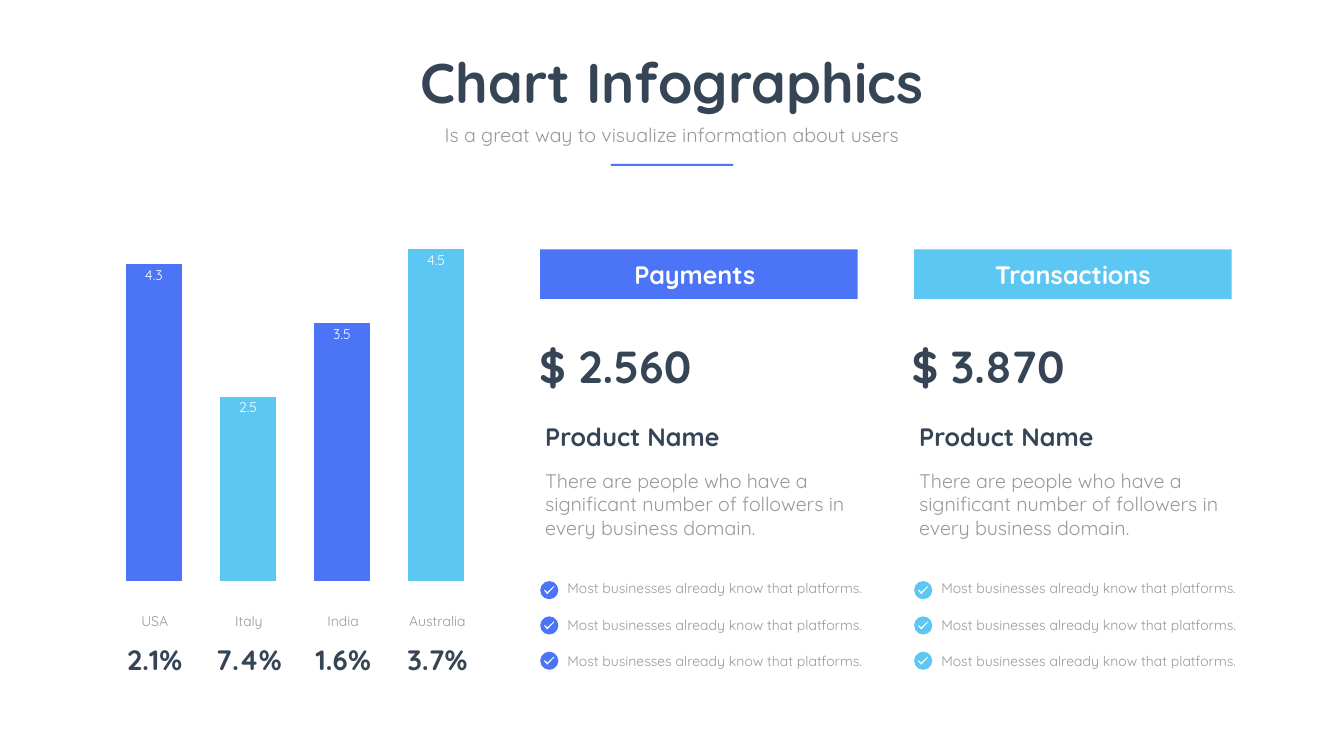
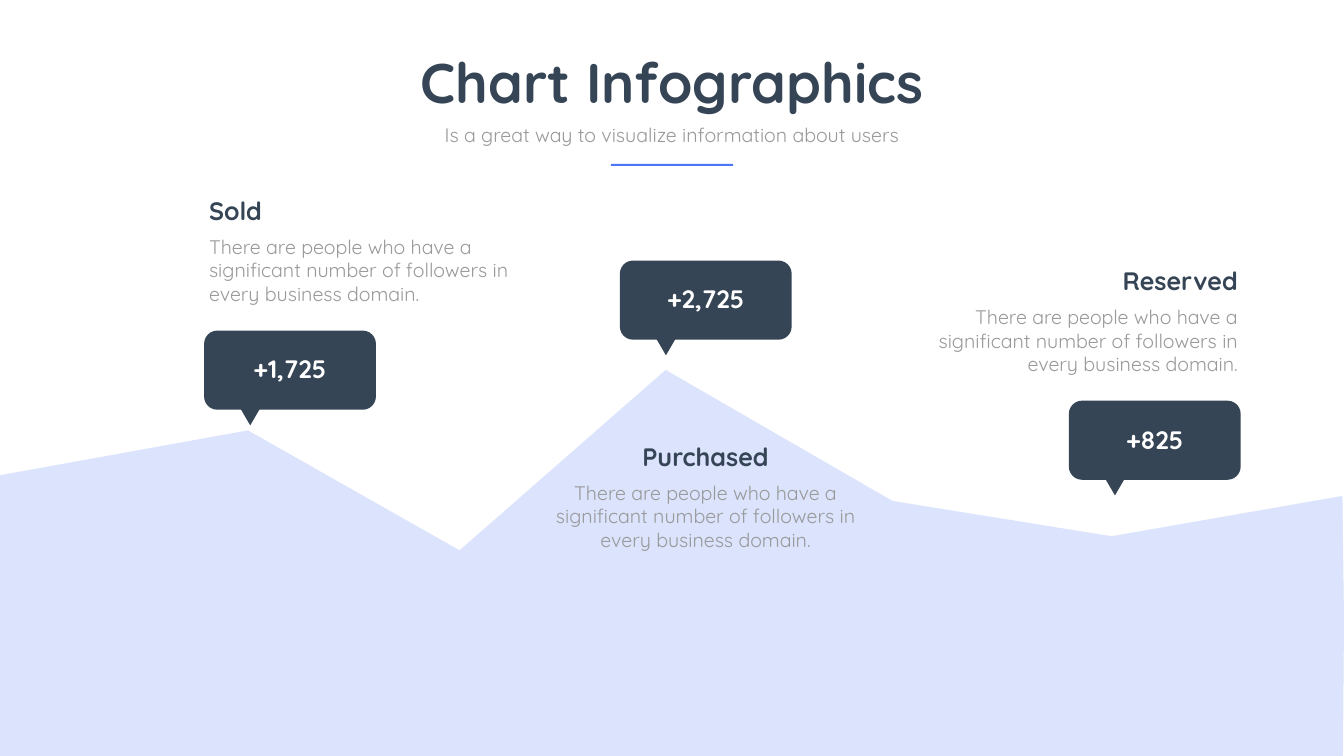
from pptx import Presentation
from pptx.chart.data import CategoryChartData
from pptx.dml.color import RGBColor
from pptx.enum.chart import XL_CHART_TYPE, XL_LABEL_POSITION
from pptx.enum.shapes import MSO_SHAPE
from pptx.enum.text import MSO_ANCHOR, MSO_AUTO_SIZE, PP_ALIGN
from pptx.oxml import parse_xml
from pptx.oxml.ns import nsdecls
from pptx.util import Inches, Pt

LEFT, CENTER, RIGHT = PP_ALIGN.LEFT, PP_ALIGN.CENTER, PP_ALIGN.RIGHT
TOP, MIDDLE = MSO_ANCHOR.TOP, MSO_ANCHOR.MIDDLE
RECTANGLE, OVAL = MSO_SHAPE.RECTANGLE, MSO_SHAPE.OVAL
ROUNDED, TRIANGLE = MSO_SHAPE.ROUNDED_RECTANGLE, MSO_SHAPE.ISOSCELES_TRIANGLE

FONT = "Quicksand"
COLORS = {
    "blue": "4B74F6",
    "sky": "5BC7F2",
    "navy": "364556",
    "gray": "999999",
    "pale": "DBE3FD",
    "white": "FFFFFF",
}
# Freeform points are whole hundredths of an inch
HUNDREDTH = Inches(0.01)
DESCRIPTION = ("There are people who have a significant number of followers "
               "in every business domain.")
BENEFIT = "Most businesses already know that platforms."


def write(shape, text, box, size=28, color="gray", bold=False, align=LEFT, anchor=TOP):
    """Move the shape to box and put formatted text in it."""
    shape.left, shape.top, shape.width, shape.height = map(Inches, box)
    frame = shape.text_frame
    frame.word_wrap = True
    frame.auto_size = MSO_AUTO_SIZE.NONE
    frame.vertical_anchor = anchor
    frame.text = text
    paragraph = frame.paragraphs[0]
    paragraph.alignment = align
    paragraph.space_before = Pt(0)
    font = paragraph.runs[0].font
    font.name, font.size, font.bold = FONT, Pt(size), bold
    font.color.rgb = RGBColor.from_string(COLORS[color])


def paint(shape, color):
    shape.shadow.inherit = False
    shape.fill.solid()
    shape.fill.fore_color.rgb = RGBColor.from_string(COLORS[color])
    shape.line.fill.background()
    return shape


presentation = Presentation()
presentation.slide_width, presentation.slide_height = Inches(26.67), Inches(15)

# Heading shared by both slides
slides = []
for _ in range(2):
    slide = presentation.slides.add_slide(presentation.slide_layouts[0])
    write(slide.shapes.title, "Chart Infographics", (6.88, 0.9, 12.91, 1.45),
          size=80, color="navy", bold=True, align=CENTER)
    write(slide.placeholders[1], "Is a great way to visualize information about users",
          (8.55, 2.38, 9.56, 0.57), align=CENTER)
    paint(slide.shapes.add_shape(RECTANGLE, *map(Inches, (12.12, 3.25, 2.43, 0.04))), "blue")
    slides.append(slide)
country_slide, trend_slide = slides

# Slide 1: country bars
countries = [("USA", 4.3, "2.1%"), ("Italy", 2.5, "7.4%"),
             ("India", 3.5, "1.6%"), ("Australia", 4.5, "3.7%")]
shapes = country_slide.shapes
chart_data = CategoryChartData(number_format="0.0")
chart_data.categories = [name for name, _, _ in countries]
chart_data.add_series("Countries", [value for _, value, _ in countries])
chart = shapes.add_chart(XL_CHART_TYPE.COLUMN_CLUSTERED,
                         *map(Inches, (2.12, 4.95, 7.47, 6.58)), chart_data).chart
chart.has_legend = False
chart.has_title = False
chart.font.name, chart.font.size = FONT, Pt(20)
chart.category_axis.visible = False
chart.value_axis.visible = False
chart.value_axis.has_major_gridlines = False
chart.value_axis.minimum_scale, chart.value_axis.maximum_scale = 0, 4.5

# The plot fills the whole chart frame
plot_area = chart.element.xpath("c:chart/c:plotArea")[0]
for layout in plot_area.xpath("c:layout"):
    plot_area.remove(layout)
plot_area.insert(0, parse_xml(
    f'<c:layout {nsdecls("c")}><c:manualLayout><c:layoutTarget val="inner"/>'
    '<c:xMode val="edge"/><c:yMode val="edge"/><c:x val="0"/><c:y val="0"/>'
    '<c:w val="1"/><c:h val="1"/></c:manualLayout></c:layout>'))

plot = chart.plots[0]
plot.gap_width = 68
plot.vary_by_categories = False
plot.has_data_labels = True
labels = plot.data_labels
labels.show_value = True
labels.position = XL_LABEL_POSITION.INSIDE_END
labels.number_format, labels.number_format_is_linked = "0.0", False
labels.font.name, labels.font.size = FONT, Pt(20)
labels.font.color.rgb = RGBColor.from_string(COLORS["white"])

for index, (name, _, share) in enumerate(countries):
    fill = plot.series[0].points[index].format.fill
    fill.solid()
    fill.fore_color.rgb = RGBColor.from_string(COLORS[("blue", "sky")[index % 2]])
    center = 3.07 + 1.87 * index
    write(shapes.add_textbox(0, 0, 0, 0), name, (center - 0.78, 12.11, 1.56, 0.44),
          size=20, align=CENTER)
    write(shapes.add_textbox(0, 0, 0, 0), share, (center - 1.29, 12.69, 2.58, 0.77),
          size=40, color="navy", bold=True, align=CENTER)

# Slide 1: product columns
check_outline = [(14, 22), (9, 17), (8, 19), (14, 26), (28, 11), (27, 10)]
for heading, margin_right, amount, amount_left, left, color in [
    ("Payments", 0.26, "$ 2.560", 10.6, 10.72, "blue"),
    ("Transactions", 0.1, "$ 3.870", 17.99, 18.14, "sky"),
]:
    band = paint(shapes.add_shape(RECTANGLE, 0, 0, 0, 0), color)
    write(band, heading, (left, 4.95, 6.3, 0.98),
          size=36, color="white", bold=True, align=CENTER, anchor=MIDDLE)
    band.text_frame.margin_right = Inches(margin_right)
    write(shapes.add_textbox(0, 0, 0, 0), amount, (amount_left, 6.65, 6.3, 1.19),
          size=64, color="navy", bold=True, anchor=MIDDLE)
    write(shapes.add_textbox(0, 0, 0, 0), "Product Name", (left, 8.31, 6.3, 0.71),
          size=36, color="navy", bold=True)
    write(shapes.add_textbox(0, 0, 0, 0), DESCRIPTION, (left, 9.25, 6.3, 1.51))
    for row, text_top in enumerate((11.45, 12.19, 12.89)):
        top = 11.53 + 0.7 * row
        paint(shapes.add_shape(OVAL, *map(Inches, (left, top, 0.36, 0.36))), color)
        check_points = [(left * 100 + x, top * 100 + y) for x, y in check_outline]
        builder = shapes.build_freeform(*check_points[0], scale=HUNDREDTH)
        builder.add_line_segments(check_points[1:])
        paint(builder.convert_to_shape(), "white")
        write(shapes.add_textbox(0, 0, 0, 0), BENEFIT, (left + 0.44, text_top, 6.32, 0.44),
              size=20)

# Slide 2: trend area
shapes = trend_slide.shapes
builder = shapes.build_freeform(0, 943, scale=HUNDREDTH)
builder.add_line_segments([(492, 854), (912, 1092), (1321, 734), (1771, 994),
                           (2206, 1064), (2664, 984), (2667, 1231), (2665, 1500), (0, 1500)])
paint(builder.convert_to_shape(), "pale")

# Slide 2: texts and callouts
stages = [
    ("Sold", 4.05, 3.83, LEFT, "+1,725", 4.05, 6.56),
    ("Purchased", 10.85, 8.71, CENTER, "+2,725", 12.3, 5.17),
    ("Reserved", 18.36, 5.22, RIGHT, "+825", 21.21, 7.95),
]
for name, left, top, align, amount, callout_left, callout_top in stages:
    write(shapes.add_textbox(0, 0, 0, 0), name, (left, top, 6.3, 0.71),
          size=36, color="navy", bold=True, align=align)
    write(shapes.add_textbox(0, 0, 0, 0), DESCRIPTION, (left, top + 0.78, 6.3, 1.51),
          align=align)
    callout = paint(shapes.add_shape(ROUNDED, 0, 0, 0, 0), "navy")
    write(callout, amount, (callout_left, callout_top, 3.41, 1.57),
          size=36, color="white", bold=True, align=CENTER, anchor=MIDDLE)
    callout.text_frame.margin_bottom = Inches(0.1)
    pointer_box = (callout_left + 0.63, callout_top + 1.39, 0.57, 0.49)
    pointer = paint(shapes.add_shape(TRIANGLE, *map(Inches, pointer_box)), "navy")
    pointer.rotation = 180

presentation.save("out.pptx")
